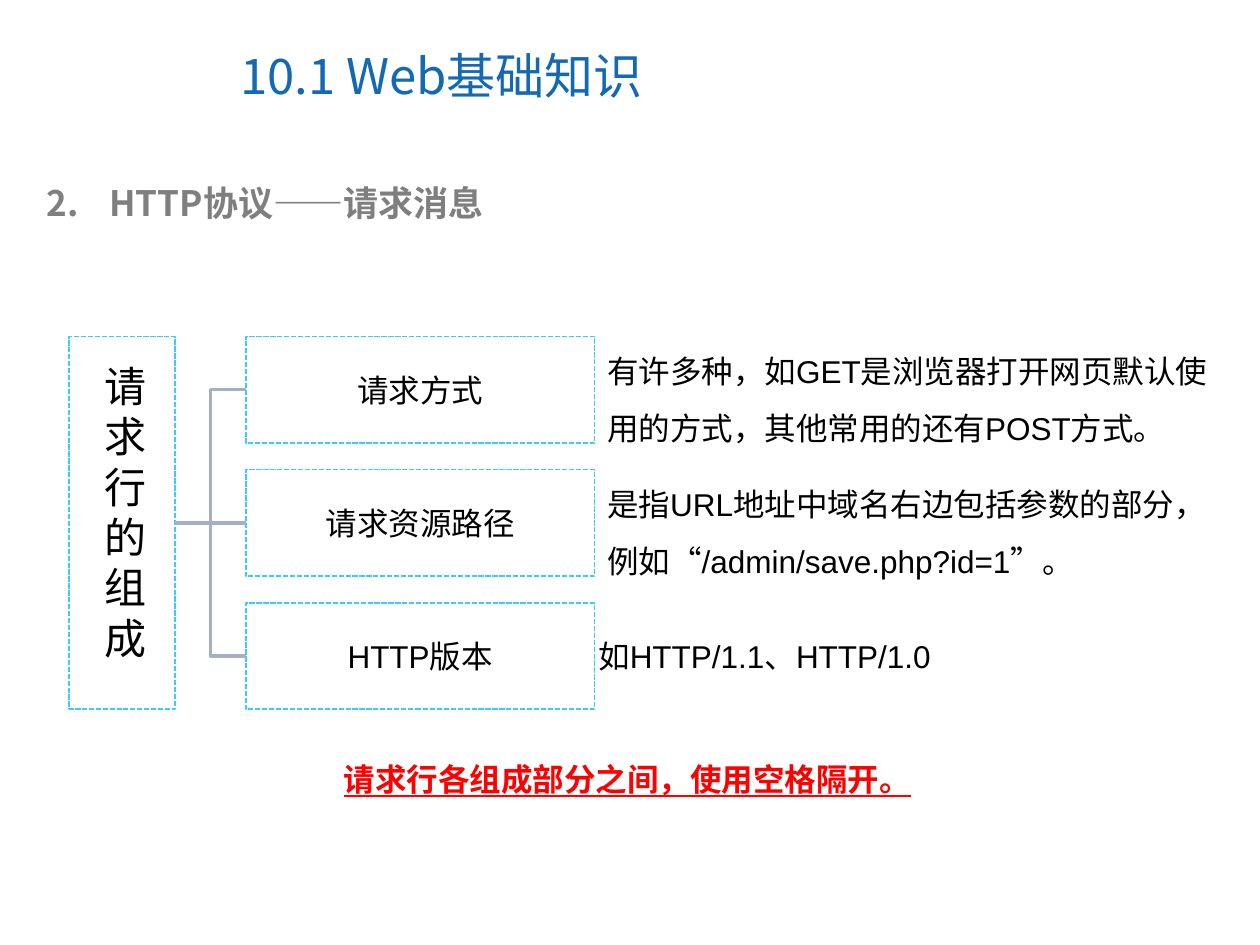
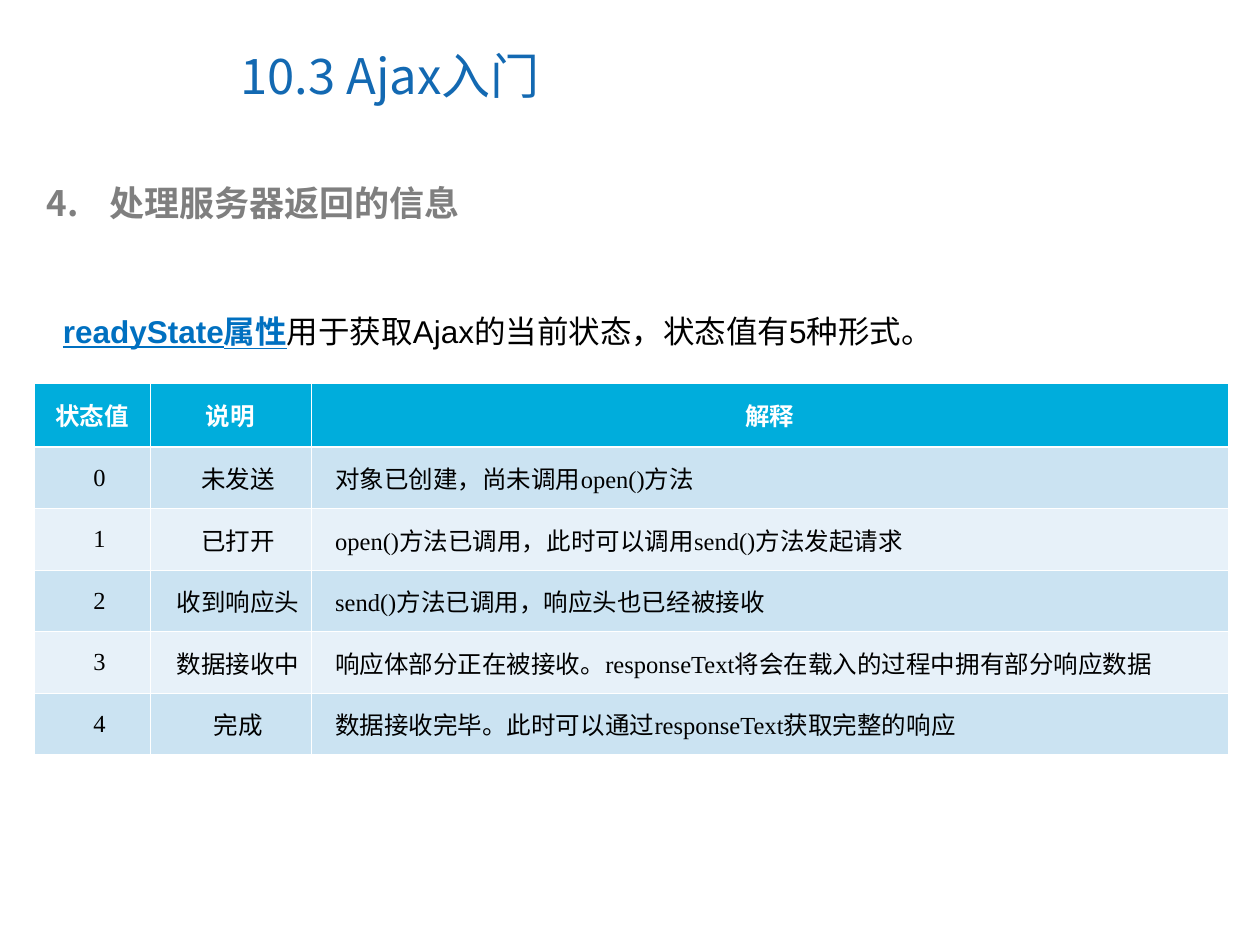
from dataclasses import dataclass

from lxml.etree import SubElement
from pptx import Presentation
from pptx.dml.color import RGBColor
from pptx.enum.dml import MSO_LINE
from pptx.enum.lang import MSO_LANGUAGE_ID as Language
from pptx.enum.shapes import MSO_CONNECTOR as Connector, MSO_SHAPE as Shape
from pptx.enum.text import MSO_ANCHOR as Anchor, PP_ALIGN as Align
from pptx.oxml import parse_xml
from pptx.oxml.ns import nsdecls, qn
from pptx.util import Inches, Pt

# The page is a grid of 100 columns by 75 rows
COLUMNS, ROWS = 100, 75
CELL = Inches(0.1)

TITLE_BLUE = RGBColor(0x13, 0x69, 0xB2)
HEADING_GREY = RGBColor(0x7F, 0x7F, 0x7F)
TERM_BLUE = RGBColor(0x00, 0x70, 0xC0)
BOX_EDGE = RGBColor(0x3B, 0xCC, 0xFF)
BRANCH_GREY = RGBColor(0xA5, 0xB1, 0xC2)
HEADER_BLUE = RGBColor(0x00, 0xAD, 0xDC)
BAND_DARK = RGBColor(0xCB, 0xE3, 0xF2)
BAND_LIGHT = RGBColor(0xE7, 0xF1, 0xF9)
RED = RGBColor(0xFF, 0x00, 0x00)
BLACK = RGBColor(0x00, 0x00, 0x00)
WHITE = RGBColor(0xFF, 0xFF, 0xFF)

SANS, LATIN, SERIF = "Noto Sans CJK SC", "Arial", "Times New Roman"

REQUEST_PARTS = [
    ("请求方式", "有许多种，如GET是浏览器打开网页默认使用的方式，其他常用的还有POST方式。"),
    ("请求资源路径", "是指URL地址中域名右边包括参数的部分，例如“/admin/save.php?id=1”。"),
    ("HTTP版本", "如HTTP/1.1、HTTP/1.0"),
]
STATES = [
    ("状态值", "说明", "解释"),
    ("0", "未发送", "对象已创建，尚未调用open()方法"),
    ("1", "已打开", "open()方法已调用，此时可以调用send()方法发起请求"),
    ("2", "收到响应头", "send()方法已调用，响应头也已经被接收"),
    ("3", "数据接收中", "响应体部分正在被接收。responseText将会在载入的过程中拥有部分响应数据"),
    ("4", "完成", "数据接收完毕。此时可以通过responseText获取完整的响应"),
]


@dataclass
class Box:
    left: float
    top: float
    width: float
    height: float

    def place(self):
        return [cells(n) for n in (self.left, self.top, self.width, self.height)]


def cells(count):
    return round(count * CELL)


def style_span(span, size, color, name=LATIN, bold=False, underline=False):
    font = span.font
    font.size, font.name = Pt(size), name
    font.bold, font.underline = bold, underline
    font.color.rgb = color
    font.language_id = Language.SIMPLIFIED_CHINESE
    SubElement(span._r.get_or_add_rPr(), qn("a:ea"), typeface=SANS)


def write(frame, text, size, color, align=Align.LEFT, **style):
    """Fill a frame with one paragraph of a single style."""
    para = frame.paragraphs[0]
    para.text = text
    para.alignment = align
    style_span(para.runs[0], size, color, **style)
    return para


def add_frame(page, box, anchor=Anchor.TOP):
    frame = page.shapes.add_textbox(*box.place()).text_frame
    frame.word_wrap = True
    frame.vertical_anchor = anchor
    return frame


def set_indent(para, margin, first=0):
    properties = para._p.get_or_add_pPr()
    properties.set("marL", str(cells(margin)))
    properties.set("indent", str(cells(first)))
    return properties


# Title and numbered heading shared by both slides
def add_page(deck, title, number, heading):
    page = deck.slides.add_slide(deck.slide_layouts[6])
    title_frame = add_frame(page, Box(18.1, 1.7, 51.6, 8.5), Anchor.MIDDLE)
    write(title_frame, title, 28, TITLE_BLUE, name=SANS)

    heading_frame = add_frame(page, Box(2.7, 13.9, 92.2, 4.4))
    para = write(heading_frame, heading, 20, HEADING_GREY, name=SANS, bold=True)
    properties = set_indent(para, 5, -5)
    color = SubElement(properties, qn("a:buClr"))
    SubElement(color, qn("a:srgbClr"), val=str(HEADING_GREY))
    SubElement(properties, qn("a:buFont"), typeface=SANS)
    SubElement(properties, qn("a:buAutoNum"), type="arabicPeriod", startAt=str(number))
    return page


def add_dashed_box(page, box, text, size, align=Align.CENTER):
    shape = page.shapes.add_shape(Shape.RECTANGLE, *box.place())
    shape.shadow.inherit = False
    shape.fill.solid()
    shape.fill.fore_color.rgb = WHITE
    shape.line.color.rgb = BOX_EDGE
    shape.line.width = Pt(1)
    shape.line.dash_style = MSO_LINE.SQUARE_DOT
    frame = shape.text_frame
    frame.word_wrap = True
    frame.vertical_anchor = Anchor.MIDDLE
    write(frame, text, size, BLACK, align)
    return shape


def add_branch(page, root, part, kind):
    branch = page.shapes.add_connector(kind, 0, 0, 0, 0)
    branch.begin_connect(root, 3)
    branch.end_connect(part, 1)
    branch.line.color.rgb = BRANCH_GREY
    branch.line.width = Pt(2)
    SubElement(branch._element.spPr, qn("a:effectLst"))


# Tree: tall root on the left, one box per request part, notes on the right
def add_request_tree(page, box):
    root_width, branch_width, part_height, note_width, note_height = 8.4, 5.6, 8.45, 50, 10
    pitch = (box.height - part_height) / (len(REQUEST_PARTS) - 1)
    part_left = box.left + root_width + branch_width
    part_width = box.width - root_width - branch_width

    root = add_dashed_box(page, Box(box.left, box.top, root_width, box.height),
                          "请求行的组成", 24, Align.LEFT)
    frame = root.text_frame
    frame.vertical_anchor = Anchor.TOP
    frame.margin_left, frame.margin_right = cells(2.8), cells(2)
    frame.margin_top = cells(1.9)

    for index, (label, note) in enumerate(REQUEST_PARTS):
        top = box.top + index * pitch
        part = add_dashed_box(page, Box(part_left, top, part_width, part_height), label, 18)
        is_middle = index == len(REQUEST_PARTS) // 2
        add_branch(page, root, part, Connector.STRAIGHT if is_middle else Connector.ELBOW)

        is_last = index == len(REQUEST_PARTS) - 1
        note_left = box.left + box.width - (0.7 if is_last else 0)
        note_top = top + (part_height - note_height) / 2
        note_frame = add_frame(page, Box(note_left, note_top, note_width, note_height),
                               Anchor.MIDDLE)
        para = write(note_frame, note, 18, BLACK)
        para.line_spacing = 1.0 if is_last else 1.5


# Sentence with a highlighted term at its start
def add_term_sentence(page, box, term, rest):
    para = add_frame(page, box).paragraphs[0]
    para.line_spacing = 2.0
    for text, color, strong in ((term, TERM_BLUE, True), (rest, BLACK, False)):
        span = para.add_run()
        span.text = text
        style_span(span, 18, color, bold=strong, underline=strong)


def set_borders(cell, widths):
    """Draw white borders; they must stand before the fill."""
    properties = cell._tc.get_or_add_tcPr()
    for index, (side, width) in enumerate(widths.items()):
        properties.insert(index, parse_xml(
            f'<a:ln{side} {nsdecls("a")} w="{Pt(width)}"><a:solidFill>'
            f'<a:srgbClr val="{WHITE}"/></a:solidFill></a:ln{side}>'))


# Banded table of state values
def add_state_table(page, box):
    table = page.shapes.add_table(len(STATES), len(STATES[0]), *box.place()).table
    for column, width in zip(table.columns, (9.2, 12.8, box.width - 22)):
        column.width = cells(width)
    header_height = 5.08
    body_height = (box.height - header_height) / (len(STATES) - 1)

    for row, values in enumerate(STATES):
        is_header = row == 0
        table.rows[row].height = cells(header_height if is_header else body_height)
        band = HEADER_BLUE if is_header else BAND_DARK if row % 2 else BAND_LIGHT
        borders = {"L": 0.45, "R": 0.45,
                   "T": 1.47 if row == 1 else 0.45, "B": 1.47 if is_header else 0.45}
        for column, value in enumerate(values):
            cell = table.cell(row, column)
            cell.fill.solid()
            cell.fill.fore_color.rgb = band
            set_borders(cell, borders)
            cell.vertical_anchor = Anchor.MIDDLE
            cell.margin_left = cell.margin_right = cells(0.7)
            centred = is_header or column < 2
            para = write(cell.text_frame, value, 14, WHITE if is_header else BLACK,
                         Align.CENTER if centred else Align.LEFT,
                         name=SERIF, bold=is_header)
            if not is_header:
                set_indent(para, 1.2)


def main():
    deck = Presentation()
    deck.slide_width, deck.slide_height = cells(COLUMNS), cells(ROWS)

    request = add_page(deck, "10.1 Web基础知识", 2, "HTTP协议——请求消息")
    add_request_tree(request, Box(5.5, 26.7, 41.7, 29.6))
    write(add_frame(request, Box(26.3, 59.8, 47.5, 4)),
          "请求行各组成部分之间，使用空格隔开。", 18, RED, bold=True, underline=True)

    response = add_page(deck, "10.3 Ajax入门", 4, "处理服务器返回的信息")
    add_term_sentence(response, Box(4, 21.3, 91.9, 7), "readyState属性",
                      "用于获取Ajax的当前状态，状态值有5种形式。")
    add_state_table(response, Box(2.7, 30.4, 94.8, 29.5))

    deck.save("out.pptx")


if __name__ == "__main__":
    main()
